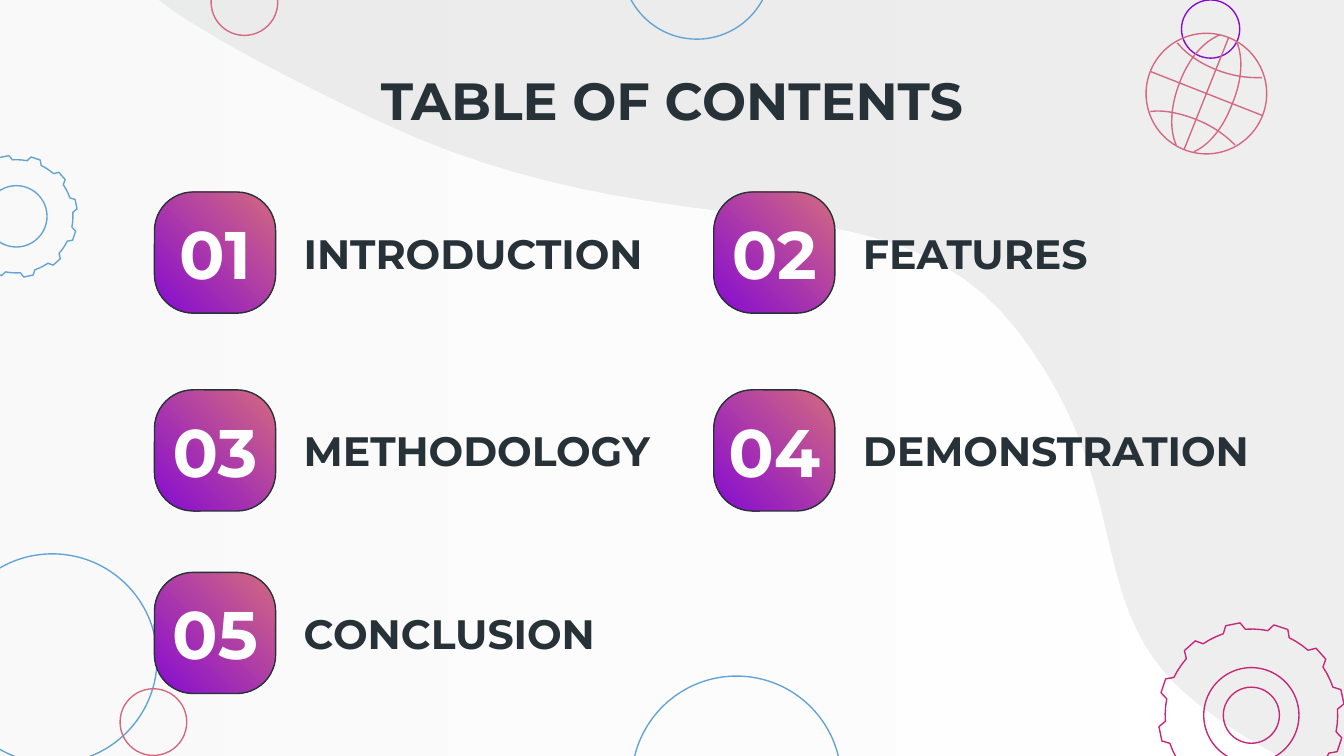
from dataclasses import dataclass
from math import cos, radians, sin

from lxml import etree
from pptx import Presentation
from pptx import util as u
from pptx.dml import color as c
from pptx.enum import shapes, text
from pptx.oxml import ns


@dataclass(frozen=True)
class Theme:
    font: str = "Montserrat"
    ink: str = "263238"
    white: str = "FFFFFF"
    mist: str = "F3F3F3"
    grey: str = "D6D7D7"
    blue: str = "63A4D5"
    violet: str = "860CD1"
    pink: str = "D36980"
    magenta: str = "C52878"
    title_size: int = 28
    label_size: int = 22
    number_size: int = 36
    line_width: float = 0.75
    alpha: str = "41000"


theme = Theme()
presentation = Presentation()
presentation.slide_width, presentation.slide_height = u.Cm(25.4), u.Cm(14.29)
slide = presentation.slides.add_slide(presentation.slide_layouts[6])


def write(frame, content, size, colour=theme.ink, align=text.PP_ALIGN.LEFT, wrap=True):
    frame.word_wrap = wrap
    frame.vertical_anchor = text.MSO_ANCHOR.MIDDLE
    paragraph = frame.paragraphs[0]
    paragraph.alignment = align
    run = paragraph.add_run()
    run.text = content
    run.font.name, run.font.size, run.font.bold = theme.font, u.Pt(size), True
    run.font.color.rgb = c.RGBColor.from_string(colour)


def trace(curve=(), corners=(), closed=True):
    points = list(curve[:1])
    for start in range(0, len(curve) - 1, 3):
        p0, p1, p2, p3 = curve[start:start + 4]
        for step in range(1, 25):
            t = step / 24
            weights = ((1 - t) ** 3, 3 * t * (1 - t) ** 2, 3 * t * t * (1 - t), t ** 3)
            points.append([sum(w * p[axis] for w, p in zip(weights, (p0, p1, p2, p3)))
                           for axis in (0, 1)])
    points = [(u.Cm(x), u.Cm(y)) for x, y in points + list(corners)]
    builder = slide.shapes.build_freeform(*points[0], scale=1.0)
    builder.add_line_segments(points[1:], close=closed)
    shape = builder.convert_to_shape()
    shape.shadow.inherit = False
    return shape


backdrop = slide.shapes.add_shape(shapes.MSO_SHAPE.RECTANGLE, 0, 0,
                                  presentation.slide_width, presentation.slide_height)
backdrop.shadow.inherit = False
backdrop.line.fill.background()
backdrop.fill.gradient()
backdrop.fill.gradient_angle = 180
for stop, colour in zip(backdrop.fill.gradient_stops, (theme.white, theme.mist)):
    stop.color.rgb = c.RGBColor.from_string(colour)

wave = trace(
    curve=[(25.73, 14.94), (24.92, 14.68), (23.85, 14.22), (22.71, 13.36),
           (20.32, 11.56), (21.62, 9.37), (19.23, 6.25),
           (16.81, 3.12), (12.75, 4.95), (7.09, 2.26),
           (4.47, 1.02), (3.25, 0.25), (2.72, -0.23)],
    corners=[(2.72, -0.64), (26.11, -0.64), (26.11, 14.94)])
wave.fill.solid()
wave.fill.fore_color.rgb = c.RGBColor.from_string(theme.grey)
wave.line.fill.background()

for shape in (backdrop, wave):
    for colour in shape._element.spPr.iter(ns.qn("a:srgbClr")):
        etree.SubElement(colour, ns.qn("a:alpha"), val=theme.alpha)

outlines = []
for x, y, radius, colour in (
    (0.99, 12.45, 1.98, theme.blue),
    (22.88, 0.55, 0.55, theme.violet),
    (4.62, 0.04, 0.63, theme.pink),
    (13.17, -0.67, 1.41, theme.blue),
    (13.92, 14.76, 1.98, theme.blue),
    (2.9, 13.65, 0.63, theme.pink),
    (0.31, 4.09, 0.58, theme.blue),
    (23.65, 13.52, 0.9, theme.magenta),
    (23.65, 13.52, 0.53, theme.magenta),
    (22.8, 1.77, 1.14, theme.pink),
):
    circle = slide.shapes.add_shape(shapes.MSO_SHAPE.OVAL, u.Cm(x - radius), u.Cm(y - radius),
                                    u.Cm(2 * radius), u.Cm(2 * radius))
    circle.shadow.inherit = False
    outlines.append((circle, colour))

tooth_profile = ((4, 1), (7, 1.08), (16, 1.08), (19, 1), (24, 1), (29, 1))
for x, y, radius, colour in ((0.31, 4.09, 1.07, theme.blue), (23.65, 13.52, 1.63, theme.magenta)):
    rim = [(x + radius * reach * cos(radians(tooth * 30 + angle)),
            y - radius * reach * sin(radians(tooth * 30 + angle)))
           for tooth in range(12) for angle, reach in tooth_profile]
    outlines.append((trace(corners=rim), colour))

for globe_curve in (
    [(22.23, 2.74), (22.23, 2.74), (22, 2.31), (22.3, 1.55), (22.58, 0.81), (23.06, 0.66), (23.06, 0.66)],
    [(22.56, 2.87), (22.56, 2.87), (23.01, 2.72), (23.29, 1.96), (23.6, 1.22), (23.37, 0.79), (23.37, 0.79)],
    [(23.34, 2.74), (23.22, 2.62), (22.99, 2.41), (22.61, 2.26), (22.23, 2.11), (21.92, 2.08), (21.74, 2.11)],
    [(22.25, 0.81), (22.38, 0.97), (22.61, 1.17), (22.99, 1.32), (23.37, 1.47), (23.67, 1.47), (23.85, 1.47)],
):
    outlines.append((trace(curve=globe_curve, closed=False), theme.pink))

for shape, colour in outlines:
    shape.fill.background()
    shape.line.width = u.Pt(theme.line_width)
    shape.line.color.rgb = c.RGBColor.from_string(colour)

for globe_axis in ((23.22, 0.71, 22.38, 2.82), (21.74, 1.35, 23.85, 2.18)):
    connector = slide.shapes.add_connector(shapes.MSO_CONNECTOR.STRAIGHT, *map(u.Cm, globe_axis))
    connector.line.width = u.Pt(theme.line_width)
    connector.line.color.rgb = c.RGBColor.from_string(theme.pink)
    etree.SubElement(connector._element.spPr, ns.qn("a:effectLst"))

title = slide.shapes.add_textbox(u.Cm(1.98), u.Cm(1.37), u.Cm(21.44), u.Cm(1.02))
write(title.text_frame, "TABLE OF CONTENTS", theme.title_size, align=text.PP_ALIGN.CENTER)

columns, rows = (2.92, 13.49), (3.63, 7.37, 10.82)
badge_size, label_height = 2.29, 1.22
sections = ("INTRODUCTION", "FEATURES", "METHODOLOGY", "DEMONSTRATION", "CONCLUSION")
for index, section in enumerate(sections):
    left, top = columns[index % 2], rows[index // 2]
    badge = slide.shapes.add_shape(shapes.MSO_SHAPE.ROUNDED_RECTANGLE, u.Cm(left), u.Cm(top),
                                   u.Cm(badge_size), u.Cm(badge_size))
    badge.adjustments[0] = 0.32
    badge.shadow.inherit = False
    badge.line.width = u.Pt(theme.line_width)
    badge.line.color.rgb = c.RGBColor.from_string(theme.ink)
    badge.fill.gradient()
    badge.fill.gradient_angle = 225
    for stop, colour in zip(badge.fill.gradient_stops, (theme.pink, theme.violet)):
        stop.color.rgb = c.RGBColor.from_string(colour)
    write(badge.text_frame, f"{index + 1:02}", theme.number_size, colour=theme.white,
          align=text.PP_ALIGN.CENTER, wrap=False)
    label = slide.shapes.add_textbox(u.Cm(left + 2.57), u.Cm(top + (badge_size - label_height) / 2),
                                     u.Cm(8), u.Cm(label_height))
    write(label.text_frame, section, theme.label_size)

presentation.save("out.pptx")
